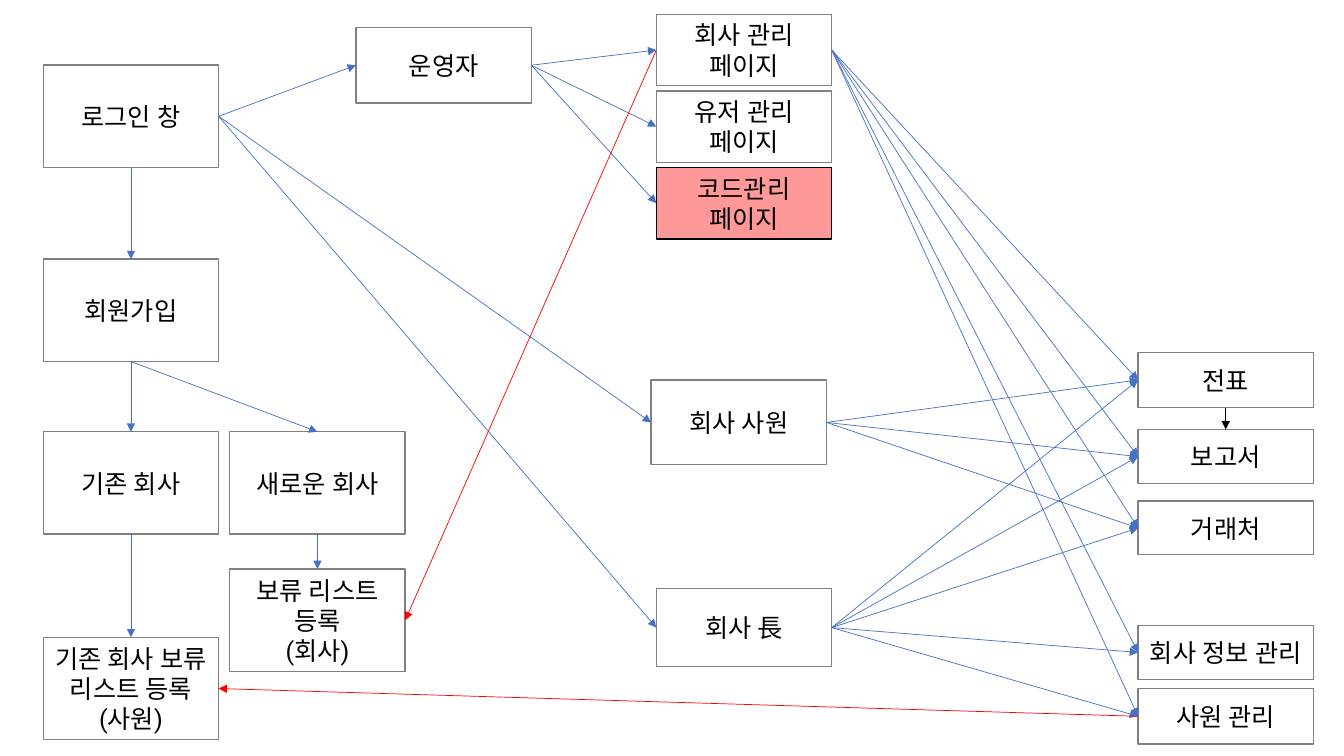
from dataclasses import dataclass

from lxml import etree
from pptx import Presentation
from pptx.dml.color import RGBColor
from pptx.enum.shapes import MSO_CONNECTOR, MSO_SHAPE
from pptx.enum.text import MSO_ANCHOR, PP_ALIGN
from pptx.oxml.ns import qn
from pptx.shapes.autoshape import Shape
from pptx.slide import Slide
from pptx.util import Cm, Pt

RECTANGLE = MSO_SHAPE.RECTANGLE
STRAIGHT = MSO_CONNECTOR.STRAIGHT
MIDDLE = MSO_ANCHOR.MIDDLE
CENTER = PP_ALIGN.CENTER
TOP, LEFT, BOTTOM, RIGHT = range(4)  # connection sites of a rectangle

COLORS = {
    "border": "808080",
    "text": "000000",
    "flow": "4472C4",
    "approval": "FF0000",
    "sequence": "000000",
    "highlight": "FF9999",
    "highlight_border": "000000",
}
FONT = "Roboto"
BOX_WIDTH = 4.42
STEP_HEIGHT = 2.58
PAGE_TOP, PAGE_HEIGHT, PAGE_PITCH = 0.36, 1.8, 1.93
COLUMN_JOIN, COLUMN_NEW, COLUMN_OPERATOR = 1.09, 5.79, 8.97
COLUMN_STAFF, COLUMN_PAGES, COLUMN_MENU = 16.41, 16.54, 28.68


@dataclass(frozen=True)
class Screen:
    key: str
    lines: tuple[str, ...]
    left: float
    top: float
    height: float
    highlighted: bool = False


@dataclass(frozen=True)
class Flow:
    source: str
    targets: tuple[str, ...]
    exit_site: int = RIGHT
    entry_site: int = LEFT
    color: str = "flow"


PAGES = [
    Screen(key, (name, "페이지"), COLUMN_PAGES, PAGE_TOP + row * PAGE_PITCH,
           PAGE_HEIGHT, key == "code_page")
    for row, (key, name) in enumerate([
        ("company_page", "회사 관리"),
        ("user_page", "유저 관리"),
        ("code_page", "코드관리"),
    ])
]

SCREENS = [
    Screen("login", ("로그인 창",), COLUMN_JOIN, 1.64, STEP_HEIGHT),
    Screen("signup", ("회원가입",), COLUMN_JOIN, 6.53, STEP_HEIGHT),
    Screen("existing", ("기존 회사",), COLUMN_JOIN, 10.88, STEP_HEIGHT),
    Screen("new", ("새로운 회사",), COLUMN_NEW, 10.88, STEP_HEIGHT),
    Screen("pending_staff", ("기존 회사 보류", "리스트 등록", "(사원)"),
           COLUMN_JOIN, 16.06, STEP_HEIGHT),
    Screen("pending_company", ("보류 리스트", "등록", "(회사)"),
           COLUMN_NEW, 14.34, STEP_HEIGHT),
    Screen("operator", ("운영자",), COLUMN_OPERATOR, 0.69, 1.91),
    *PAGES,
    Screen("staff", ("회사 사원",), COLUMN_STAFF, 9.58, 2.13),
    Screen("chief", ("회사 長",), COLUMN_PAGES, 14.83, 1.97),
    Screen("slip", ("전표",), COLUMN_MENU, 8.88, 1.39),
    Screen("report", ("보고서",), COLUMN_MENU, 10.82, 1.37),
    Screen("client", ("거래처",), COLUMN_MENU, 12.63, 1.35),
    Screen("company_info", ("회사 정보 관리",), COLUMN_MENU, 15.76, 1.36),
    Screen("staff_admin", ("사원 관리",), COLUMN_MENU, 17.35, 1.4),
]

STAFF_MENU = ("slip", "report", "client")
FULL_MENU = STAFF_MENU + ("company_info", "staff_admin")

FLOWS = [
    Flow("login", ("signup",), BOTTOM, TOP),
    Flow("signup", ("existing", "new"), BOTTOM, TOP),
    Flow("existing", ("pending_staff",), BOTTOM, TOP),
    Flow("new", ("pending_company",), BOTTOM, TOP),
    Flow("login", ("operator", "staff", "chief")),
    Flow("operator", tuple(page.key for page in PAGES)),
    Flow("staff", STAFF_MENU),
    Flow("chief", FULL_MENU),
    Flow("company_page", FULL_MENU),
    Flow("slip", ("report",), BOTTOM, TOP, "sequence"),
    Flow("staff_admin", ("pending_staff",), LEFT, RIGHT, "approval"),
    Flow("company_page", ("pending_company",), LEFT, RIGHT, "approval"),
]


def rgb(name: str) -> RGBColor:
    return RGBColor.from_string(COLORS[name])


def draw_screen(slide: Slide, screen: Screen) -> Shape:
    box = slide.shapes.add_shape(RECTANGLE, Cm(screen.left), Cm(screen.top),
                                 Cm(BOX_WIDTH), Cm(screen.height))
    box.shadow.inherit = False
    box.line.width = Pt(1)
    if screen.highlighted:
        box.fill.solid()
        box.fill.fore_color.rgb = rgb("highlight")
        box.line.color.rgb = rgb("highlight_border")
    else:
        box.fill.background()
        box.line.color.rgb = rgb("border")

    frame = box.text_frame
    frame.word_wrap = True
    frame.vertical_anchor = MIDDLE
    for index, line in enumerate(screen.lines):
        paragraph = frame.add_paragraph() if index else frame.paragraphs[0]
        paragraph.alignment = CENTER
        run = paragraph.add_run()
        run.text = line
        run.font.size = Pt(18)
        run.font.color.rgb = rgb("text")
        run.font.name = FONT
        # Hangul takes its font from the East Asian slot
        east_asian = etree.SubElement(run.font._element, qn("a:ea"))
        east_asian.set("typeface", FONT)
    return box


def draw_flow(slide: Slide, boxes: dict[str, Shape], flow: Flow) -> None:
    """Draw one glued arrow from the source to each target."""
    for target in flow.targets:
        arrow = slide.shapes.add_connector(STRAIGHT, 0, 0, 0, 0)
        arrow.begin_connect(boxes[flow.source], flow.exit_site)
        arrow.end_connect(boxes[target], flow.entry_site)
        arrow.line.width = Pt(0.5)
        arrow.line.color.rgb = rgb(flow.color)
        tail = etree.SubElement(arrow.line._get_or_add_ln(), qn("a:tailEnd"))
        tail.set("type", "triangle")
        etree.SubElement(arrow._element.spPr, qn("a:effectLst"))


def main() -> None:
    presentation = Presentation()
    presentation.slide_width = Cm(33.87)
    presentation.slide_height = Cm(19.05)
    slide = presentation.slides.add_slide(presentation.slide_layouts[6])
    boxes = {screen.key: draw_screen(slide, screen) for screen in SCREENS}
    for flow in FLOWS:
        draw_flow(slide, boxes, flow)
    presentation.save("out.pptx")


if __name__ == "__main__":
    main()
